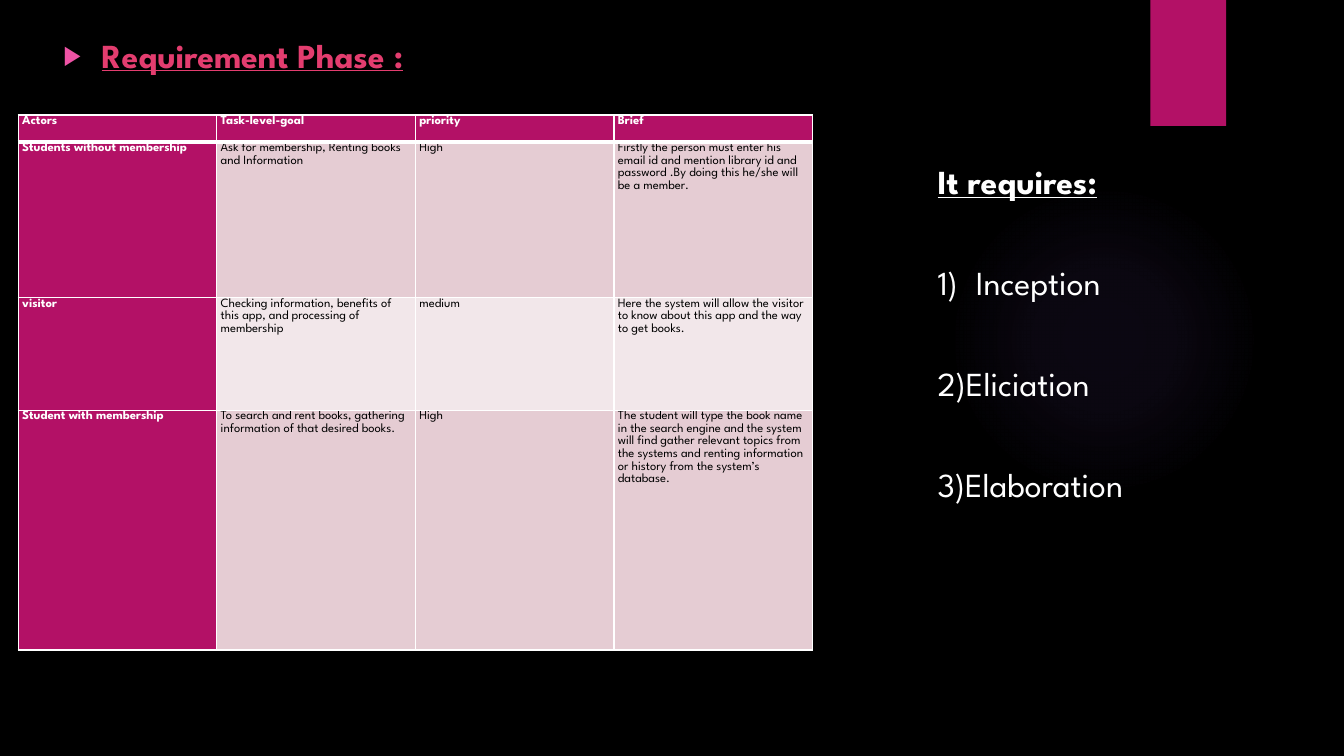
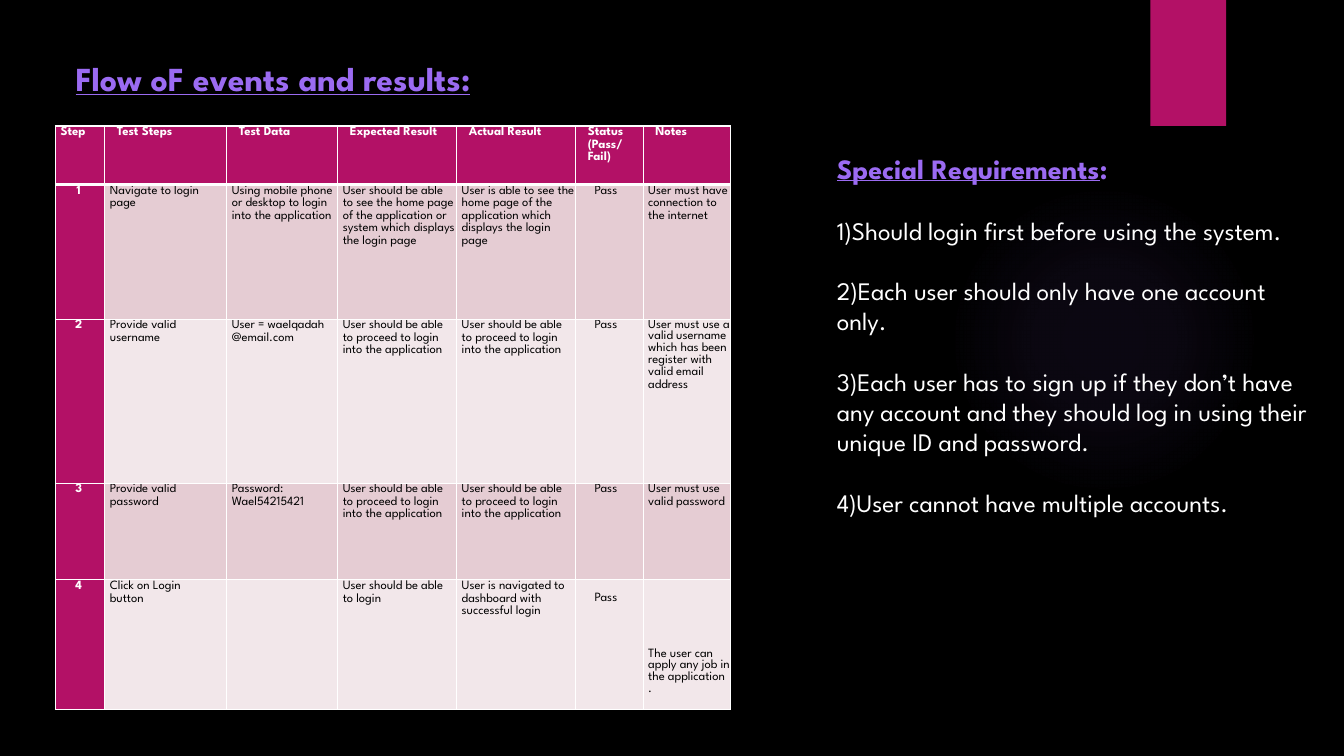
from lxml.etree import SubElement
from pptx import Presentation
from pptx.dml.color import RGBColor
from pptx.enum.shapes import MSO_SHAPE
from pptx.enum.text import MSO_ANCHOR, PP_ALIGN
from pptx.oxml import parse_xml
from pptx.oxml.ns import nsdecls, qn
from pptx.util import Inches, Pt

BLACK = RGBColor(0x00, 0x00, 0x00)
WHITE = RGBColor(0xFF, 0xFF, 0xFF)
MAGENTA = RGBColor(0xB3, 0x11, 0x66)
ROSE = RGBColor(0xE3, 0x3D, 0x6F)
PINK = RGBColor(0xEF, 0x53, 0xA5)
VIOLET = RGBColor(0x9B, 0x6B, 0xF2)
ROW_FILLS = (RGBColor(0xE5, 0xCC, 0xD3), RGBColor(0xF2, 0xE7, 0xEA))

FONT = "League Spartan"
LEADING = 1.2
SLIDE_WIDTH, SLIDE_HEIGHT = Inches(13.33), Inches(7.5)

ACTORS = [
    ["Actors", "Task-level-goal", "priority", "Brief"],
    ["Students without membership",
     "Ask for membership, Renting books and Information", "High",
     "Firstly the person must enter his email id and mention library id "
     "and password .By doing this he/she will be a member."],
    ["visitor",
     "Checking information, benefits of this app, and processing of membership",
     "medium",
     "Here the system will allow the visitor to know about this app and "
     "the way to get books."],
    ["Student with membership",
     "To search and rent books, gathering information of that desired books.",
     "High",
     "The student will type the book name in the search engine and the "
     "system will find gather relevant topics from the systems and renting "
     "information or history from the system’s database."],
]

PROCEED = "User should be able to proceed to login into the application"
TEST_STEPS = [
    ["Step", "Test Steps", "Test Data", "Expected Result", "Actual Result",
     "Status\n(Pass/\nFail)", "Notes"],
    ["1", "Navigate to login page",
     "Using mobile phone or desktop to login into the application",
     "User should be able to see the home page of the application or system "
     "which displays the login page",
     "User is able to see the home page of the application which displays "
     "the login page",
     "Pass", "User must have connection to the internet"],
    ["2", "Provide valid username", "User = waelqadah\n@email.com",
     PROCEED, PROCEED, "Pass",
     "User must use a valid username which has been\n"
     "register with valid email address"],
    ["3", "Provide valid password", "Password:\nWael54215421",
     PROCEED, PROCEED, "Pass", "User must use valid password"],
    ["4", "Click on Login\nbutton", "", "User should be able to login",
     "User is navigated to dashboard with successful login", "Pass",
     "The user can apply any job in the application\n."],
]

PHASES = ["Inception", "2)Eliciation", "3)Elaboration"]
REQUIREMENTS = [
    "1)Should login first before using the system.",
    "2)Each user should only have one account only.",
    "3)Each user has to sign up if they don’t have any account and they "
    "should log in using their unique ID and password.",
    "4)User cannot have multiple accounts.",
]


def percent_box(left, top, width, height):
    return (int(SLIDE_WIDTH * left / 100), int(SLIDE_HEIGHT * top / 100),
            int(SLIDE_WIDTH * width / 100), int(SLIDE_HEIGHT * height / 100))


def style(paragraph, size, color, bold=False, underline=False):
    font = paragraph.font
    font.name, font.size, font.bold = FONT, Pt(size), bold
    font.color.rgb = color
    font.underline = underline


def indent(paragraph, left, first=0):
    properties = paragraph._p.get_or_add_pPr()
    properties.set("marL", str(Inches(left)))
    properties.set("indent", str(Inches(first)))
    return properties


def add_themed_slide(deck):
    slide = deck.slides.add_slide(deck.slide_layouts[6])
    slide.background.fill.solid()
    slide.background.fill.fore_color.rgb = BLACK

    glow = slide.shapes.add_shape(
        MSO_SHAPE.OVAL, *percent_box(70.59, 24.4, 23.11, 41.07))
    glow.fill.background()
    stops = "".join(
        f'<a:gs pos="{position}000"><a:srgbClr val="{VIOLET}">'
        f'<a:alpha val="{alpha}000"/></a:srgbClr></a:gs>'
        for position, alpha in ((0, 7), (36, 6), (69, 0)))
    gradient = parse_xml(
        f'<a:gradFill {nsdecls("a")}><a:gsLst>{stops}</a:gsLst>'
        '<a:path path="circle"><a:fillToRect l="50000" t="50000" '
        'r="50000" b="50000"/></a:path></a:gradFill>')
    properties = glow._element.spPr
    properties.replace(properties.find(qn("a:noFill")), gradient)

    ribbon = slide.shapes.add_shape(
        MSO_SHAPE.RECTANGLE, *percent_box(85.6, 0, 5.63, 16.67))
    ribbon.fill.solid()
    ribbon.fill.fore_color.rgb = MAGENTA
    for decoration in (glow, ribbon):
        decoration.line.fill.background()
        decoration.shadow.inherit = False
    return slide


def add_heading(slide, box, text, size, color, underlined=True):
    frame = slide.shapes.add_textbox(*box).text_frame
    frame.word_wrap = True
    heading = frame.paragraphs[0]
    heading.text = text
    heading.line_spacing = Pt(size * LEADING)
    style(heading, size, color, bold=True, underline=underlined)
    return frame


def add_items(frame, items, size, gap):
    for item in items:
        paragraph = frame.add_paragraph()
        paragraph.text = item
        paragraph.line_spacing = Pt(size * LEADING)
        paragraph.space_before = Pt(gap)
        style(paragraph, size, WHITE)


def add_borders(cell, top, bottom):
    properties = cell._tc.get_or_add_tcPr()
    for side, width in (("L", 1), ("R", 1), ("T", top), ("B", bottom)):
        properties.append(parse_xml(
            f'<a:ln{side} {nsdecls("a")} w="{Pt(width)}"><a:solidFill>'
            f'<a:srgbClr val="{WHITE}"/></a:solidFill></a:ln{side}>'))


def add_grid(slide, box, rows, column_inches, row_inches, margins):
    left, top, width, height = box
    table = slide.shapes.add_table(
        len(rows), len(rows[0]), left, top, width, height).table
    for column, share in zip(table.columns, column_inches):
        column.width = int(width * share / sum(column_inches))
    for row, share in zip(table.rows, row_inches):
        row.height = int(height * share / sum(row_inches))
    for r, texts in enumerate(rows):
        for c, text in enumerate(texts):
            cell = table.cell(r, c)
            cell.margin_left, cell.margin_right = map(Inches, margins)
            cell.margin_top = cell.margin_bottom = 0
            add_borders(cell, 3 if r == 1 else 1, 3 if r == 0 else 1)
            strong = r == 0 or c == 0
            cell.fill.solid()
            cell.fill.fore_color.rgb = (
                MAGENTA if strong else ROW_FILLS[(r - 1) % 2])
            cell.text = text
            for paragraph in cell.text_frame.paragraphs:
                paragraph.line_spacing = 1.07
                style(paragraph, 9, WHITE if strong else BLACK, bold=strong)
    return table


def add_requirement_slide(deck):
    slide = add_themed_slide(deck)
    title = add_heading(slide, percent_box(3.98, 4, 70, 8),
                        "Requirement Phase :", 24, ROSE).paragraphs[0]
    bullet = indent(title, 0.38, -0.38)
    marks = parse_xml(
        f'<a:pPr {nsdecls("a")}><a:buClr><a:srgbClr val="{PINK}"/></a:buClr>'
        '<a:buSzPct val="80000"/><a:buFont typeface="Arial"/>'
        '<a:buChar char="▶"/></a:pPr>')
    for mark in list(marks):
        bullet.find(qn("a:defRPr")).addprevious(mark)

    add_grid(slide, percent_box(1.35, 15.2, 59.11, 70.8), ACTORS,
             [1] * 4, [0.27, 1.54, 1.12, 2.38], (0.04, 0.04))

    phases = add_heading(slide, percent_box(69.02, 20.67, 29, 51.2),
                         "It requires:", 24, WHITE)
    add_items(phases, PHASES, 24, 43.2)
    numbered = indent(phases.paragraphs[1], 0.38, -0.38)
    number = SubElement(numbered, qn("a:buAutoNum"), type="arabicParenR")
    numbered.find(qn("a:defRPr")).addprevious(number)


def add_flow_slide(deck):
    slide = add_themed_slide(deck)
    add_heading(slide, percent_box(4.88, 7.07, 70, 8),
                "Flow oF events and results:", 24, VIOLET)

    steps = add_grid(slide, percent_box(4.13, 16.67, 50.26, 77.2), TEST_STEPS,
                     [0.49, 1.21, 1.1, 1.18, 1.18, 0.67, 0.87],
                     [0.58, 1.34, 1.63, 0.96, 1.29], (0.05, 0.01))
    for c in range(1, len(TEST_STEPS[0])):
        for paragraph in steps.cell(0, c).text_frame.paragraphs:
            indent(paragraph, 0.07)
    for r in range(1, len(TEST_STEPS)):
        for c, right_margin in ((0, 0.08), (5, 0.12)):
            centred = steps.cell(r, c)
            centred.margin_right = Inches(right_margin)
            centred.text_frame.paragraphs[0].alignment = PP_ALIGN.CENTER
        note_lines = steps.cell(r, 6).text_frame.paragraphs
        if len(note_lines) > 1:
            note_lines[0].line_spacing = 0.98
    steps.cell(4, 5).margin_top = Inches(0.12)
    last_note = steps.cell(4, 6)
    last_note.vertical_anchor = MSO_ANCHOR.BOTTOM
    last_note.margin_bottom = Inches(0.14)

    special = add_heading(slide, percent_box(61.52, 19.33, 37.2, 61.87),
                          "Special Requirements", 20, VIOLET, underlined=False)
    heading = special.paragraphs[0]
    heading.runs[0].font.underline = True
    heading.add_run().text = ":"
    add_items(special, REQUIREMENTS, 18, 21.6)


def main():
    deck = Presentation()
    deck.slide_width, deck.slide_height = SLIDE_WIDTH, SLIDE_HEIGHT
    add_requirement_slide(deck)
    add_flow_slide(deck)
    deck.save("out.pptx")


if __name__ == "__main__":
    main()
